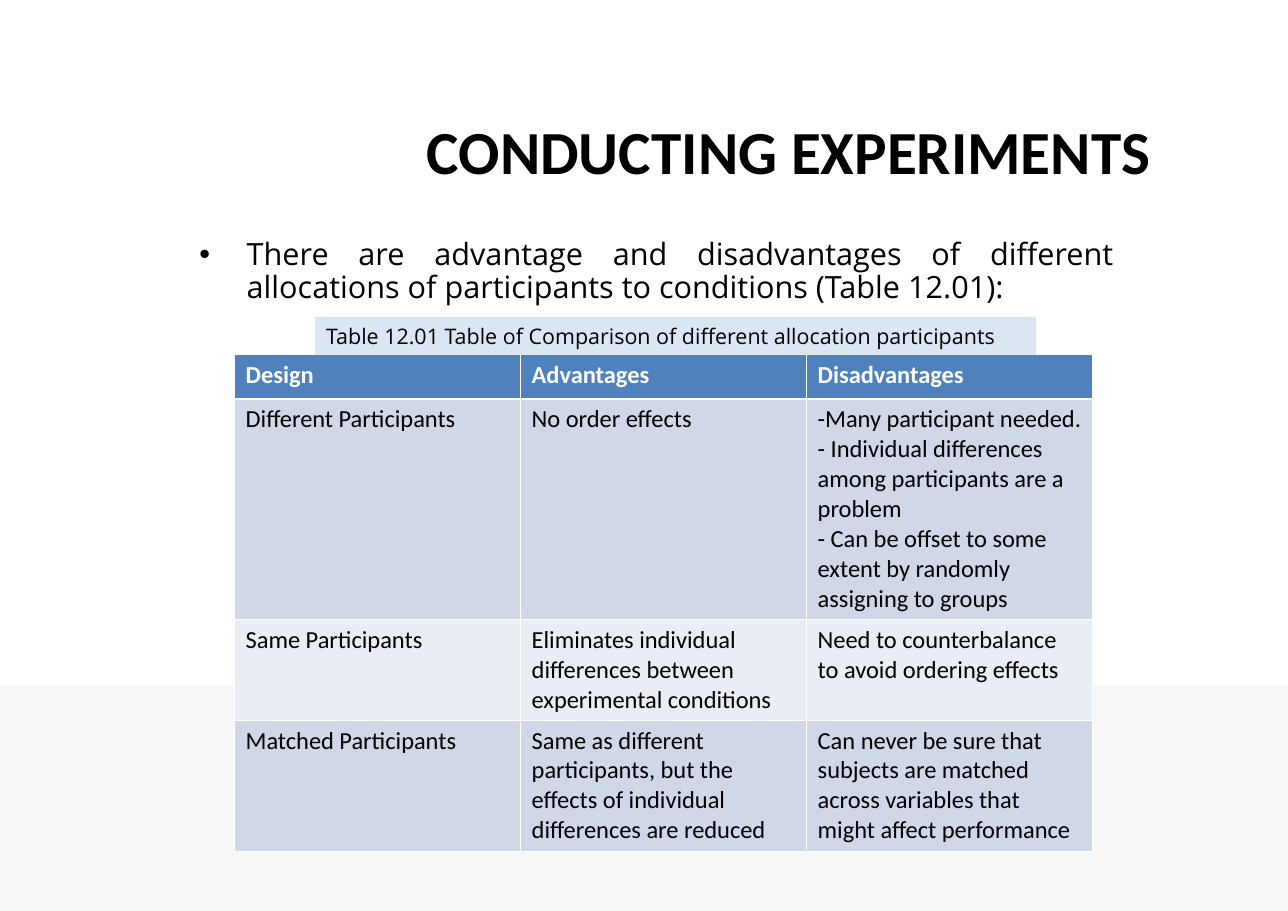
from pptx import Presentation
from pptx.dml.color import RGBColor
from pptx.enum.shapes import MSO_SHAPE as Preset
from pptx.enum.text import MSO_ANCHOR as Anchor, MSO_AUTO_SIZE as AutoSize, PP_ALIGN as Align
from pptx.oxml import parse_xml
from pptx.oxml.ns import nsdecls
from pptx.util import Inches, Pt

BLACK = RGBColor(0x00, 0x00, 0x00)
WHITE = RGBColor(0xFF, 0xFF, 0xFF)
FOOTER_GREY = RGBColor(0xF7, 0xF7, 0xF7)
CAPTION_BLUE = RGBColor(0xDC, 0xE6, 0xF2)
HEADER_BLUE = RGBColor(0x4F, 0x81, 0xBD)
DARK_BAND = RGBColor(0xD0, 0xD8, 0xE8)
LIGHT_BAND = RGBColor(0xE9, 0xED, 0xF4)

GRID = 100  # columns and rows across the slide
THIN, THICK = 0.45, 1.47

COMPARISON = [
    ["Design", "Advantages", "Disadvantages"],
    ["Different Participants", "No order effects",
     "-Many participant needed.\n"
     "- Individual differences among participants are a problem\n"
     "- Can be offset to some extent by randomly assigning to groups"],
    ["Same Participants",
     "Eliminates individual differences between experimental conditions",
     "Need to counterbalance to avoid ordering effects"],
    ["Matched Participants",
     "Same as different participants, but the effects of individual differences are reduced",
     "Can never be sure that subjects are matched across variables that might affect performance"],
]
COLUMN_WIDTH = 22.21
ROW_HEIGHTS = [4.84, 23.82, 10.88, 14.15]


def write(frame, text, *, size, font="Calibri", color=BLACK, bold=False,
          align=Align.LEFT, spacing=1.0, bullet=None, indent=0):
    """Fill a text frame, one paragraph for each line of text."""
    for number, line in enumerate(text.split("\n")):
        paragraph = frame.add_paragraph() if number else frame.paragraphs[0]
        if bullet:
            props = paragraph._p.get_or_add_pPr()
            props.set("marL", str(Inches(indent)))
            props.set("indent", str(-Inches(indent)))
            props.append(parse_xml(f'<a:buFont {nsdecls("a")} typeface="Arial"/>'))
            props.append(parse_xml(f'<a:buChar {nsdecls("a")} char="{bullet}"/>'))
        paragraph.alignment = align
        paragraph.line_spacing = spacing
        paragraph.space_before = Pt(0)
        run = paragraph.add_run()
        run.text = line
        run.font.name, run.font.size, run.font.bold = font, Pt(size), bold
        run.font.color.rgb = color


class SlideBuilder:
    def __init__(self, deck):
        self.width, self.height = deck.slide_width, deck.slide_height
        self.slide = deck.slides.add_slide(deck.slide_layouts[5])

    def col(self, count):
        return round(self.width * count / GRID)

    def row(self, count):
        return round(self.height * count / GRID)

    def box(self, left, top, width, height):
        return self.col(left), self.row(top), self.col(width), self.row(height)

    def frame(self, shape, wrap=True, inset=(0.1, 0.05)):
        frame = shape.text_frame
        frame.auto_size = AutoSize.NONE
        frame.word_wrap = wrap
        frame.vertical_anchor = Anchor.TOP
        frame.margin_left = frame.margin_right = Inches(inset[0])
        frame.margin_top = frame.margin_bottom = Inches(inset[1])
        return frame

    def title(self, text, *place, **style):
        heading = self.slide.shapes.title
        heading.left, heading.top, heading.width, heading.height = self.box(*place)
        write(self.frame(heading, wrap=False), text, **style)

    def text(self, text, *place, inset=(0.1, 0.05), **style):
        body = self.slide.shapes.add_textbox(*self.box(*place))
        write(self.frame(body, inset=inset), text, **style)

    def panel(self, fill, *place, text=None, **style):
        panel = self.slide.shapes.add_shape(Preset.RECTANGLE, *self.box(*place))
        panel.shadow.inherit = False
        panel.fill.solid()
        panel.fill.fore_color.rgb = fill
        panel.line.fill.background()
        if text:
            write(self.frame(panel), text, **style)

    def border(self, cell, top, bottom):
        props = cell._tc.get_or_add_tcPr()
        for side, points in zip("LRTB", (THIN, THIN, top, bottom)):
            props.append(parse_xml(
                f'<a:ln{side} {nsdecls("a")} w="{Pt(points)}"><a:solidFill>'
                f'<a:srgbClr val="{WHITE}"/></a:solidFill></a:ln{side}>'))

    def table(self, rows, left, top, column_width, row_heights, size):
        place = self.box(left, top, column_width * len(rows[0]), sum(row_heights))
        table = self.slide.shapes.add_table(len(rows), len(rows[0]), *place).table
        for column in table.columns:
            column.width = self.col(column_width)
        for r, (texts, height) in enumerate(zip(rows, row_heights)):
            table.rows[r].height = self.row(height)
            header = r == 0
            fill = HEADER_BLUE if header else DARK_BAND if r % 2 else LIGHT_BAND
            for c, text in enumerate(texts):
                cell = table.cell(r, c)
                self.border(cell, THICK if r == 1 else THIN, THICK if header else THIN)
                cell.fill.solid()
                cell.fill.fore_color.rgb = fill
                write(cell.text_frame, text, size=size, bold=header,
                      color=WHITE if header else BLACK)


def main():
    deck = Presentation()
    deck.slide_width, deck.slide_height = Inches(11.69), Inches(8.27)
    page = SlideBuilder(deck)

    # Footer band
    page.panel(FOOTER_GREY, 0, 75.21, 100, 24.79)

    # Heading and lead-in
    page.title("CONDUCTING EXPERIMENTS", 32.25, 11.85, 57.91, 9.31,
               size=40, bold=True, align=Align.RIGHT)
    page.text("There are advantage and disadvantages of different allocations "
              "of participants to conditions (Table 12.01):",
              14.54, 25.51, 72.88, 62.15, inset=(0.11, 0.06), size=20,
              font="Open Sans", align=Align.JUSTIFY, spacing=0.9, bullet="•", indent=0.43)

    # Comparison table with its caption
    page.table(COMPARISON, 18.22, 38.94, COLUMN_WIDTH, ROW_HEIGHTS, size=16)
    page.panel(CAPTION_BLUE, 24.47, 34.82, 55.95, 4.11,
               text="Table 12.01 Table of Comparison of different allocation participants",
               size=14, font="Open Sans")

    deck.save("out.pptx")


if __name__ == "__main__":
    main()
